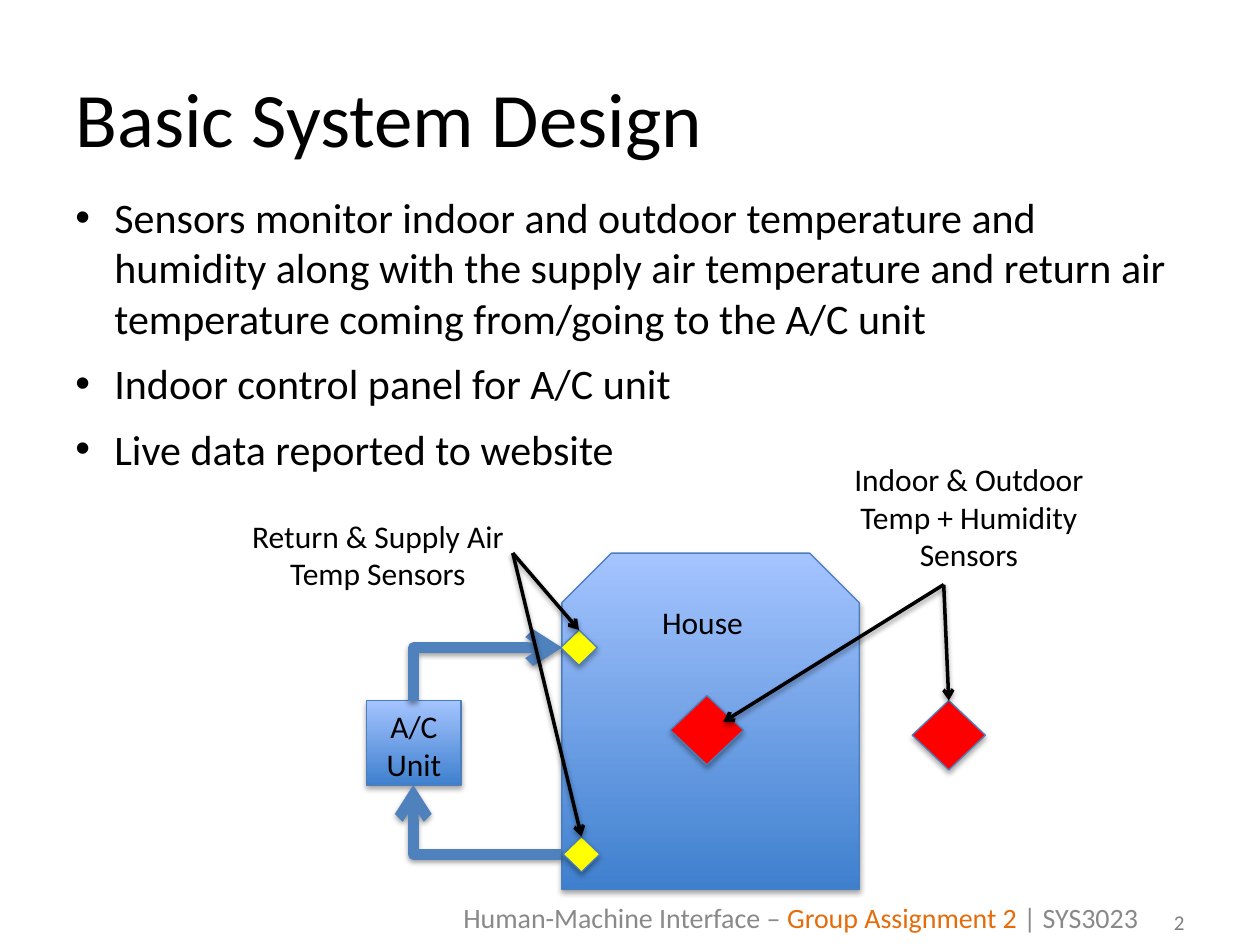
from lxml import etree
from pptx import Presentation
from pptx import util as u
from pptx.dml.color import RGBColor
from pptx.enum import shapes, text
from pptx.oxml import ns

PX = 9144  # EMU per px, 100 px to the inch
BLACK = RGBColor(0, 0, 0)
GRAY = RGBColor(0x89, 0x89, 0x89)
PALE = RGBColor(0x80, 0x80, 0x80)
ORANGE = RGBColor(0xE4, 0x6C, 0x0A)
RED = RGBColor(0xFF, 0, 0)
YELLOW = RGBColor(0xFF, 0xFF, 0)
EDGE = RGBColor(0x4B, 0x7E, 0xBC)
DUCT = RGBColor(0x4F, 0x81, 0xBD)
DEEP = RGBColor(0x3F, 0x80, 0xCE)
LIGHT = RGBColor(0xA4, 0xC4, 0xFF)

KIND = shapes.MSO_SHAPE
LINK = shapes.MSO_CONNECTOR
ALIGN = text.PP_ALIGN
ANCHOR = text.MSO_ANCHOR


def px(*nums):
    return [u.Emu(n * PX) for n in nums]


def sub(node, tag, **attrs):
    return etree.SubElement(node, ns.qn(tag), attrs)


def shade(effects, dist, alpha):
    """Fill an effect list with a soft shadow that falls downward."""
    drop = sub(effects, "a:outerShdw", blurRad="40000", dist=str(dist),
               dir="5400000", rotWithShape="0")
    tone = sub(drop, "a:srgbClr", val="000000")
    sub(tone, "a:alpha", val=str(alpha * 1000))


def write(slide, box, paras, size=18, color=BLACK, align=ALIGN.LEFT,
          anchor=ANCHOR.TOP, bullet=False, gap=1.0):
    """Each paragraph is a string or a list of (string, colour) runs."""
    frame = slide.shapes.add_textbox(*px(*box)).text_frame
    frame.word_wrap = True
    frame.vertical_anchor = anchor
    for i, runs in enumerate(paras):
        para = frame.add_paragraph() if i else frame.paragraphs[0]
        para.alignment = align
        if i:
            para.line_spacing = gap
        if bullet:
            props = para._p.get_or_add_pPr()
            props.set("marL", str(31 * PX))
            props.set("indent", str(-31 * PX))
            sub(props, "a:buFont", typeface="Arial")
            sub(props, "a:buChar", char="•")
        for words, tint in [(runs, color)] if isinstance(runs, str) else runs:
            run = para.add_run()
            run.text = words
            run.font.name = "Calibri"
            run.font.size = u.Pt(size)
            run.font.color.rgb = tint


def block(slide, kind, box, fill=None):
    """A shape with a plain fill, or the blue gradient if none is given."""
    shape = slide.shapes.add_shape(kind, *px(*box))
    if fill is None:
        shape.fill.gradient()
        shape.fill.gradient_angle = 90
        for stop, tint in zip(shape.fill.gradient_stops, (DEEP, LIGHT)):
            stop.color.rgb = tint
    else:
        shape.fill.solid()
        shape.fill.fore_color.rgb = fill
    shape.line.color.rgb = EDGE
    shape.line.width = u.Pt(0.75)
    shape.shadow.inherit = False
    shade(shape._element.spPr.find(ns.qn("a:effectLst")), 23000, 35)
    return shape


def arrow(slide, start, end, kind=LINK.STRAIGHT, color=BLACK, width=2):
    link = slide.shapes.add_connector(kind, *px(*start, *end))
    link.line.color.rgb = color
    link.line.width = u.Pt(width)
    sub(link.line._get_or_add_ln(), "a:tailEnd", type="arrow")
    shade(sub(link._element.spPr, "a:effectLst"), 20000, 38)
    return link


def duct(slide, box, turn, flip=False):
    """A one-bend arrow; box is the frame before it is turned."""
    x, y, w, h = box
    link = arrow(slide, (x, y), (x + w, y + h), LINK.ELBOW, DUCT, 6)
    props = link._element.spPr
    props.find(ns.qn("a:prstGeom")).set("prst", "bentConnector2")
    frame = props.find(ns.qn("a:xfrm"))
    frame.set("rot", str(turn * 60000))
    if flip:
        frame.set("flipH", "1")
        frame.set("flipV", "1")


def main():
    deck = Presentation()
    deck.slide_width, deck.slide_height = px(1000, 750)
    slide = deck.slides.add_slide(deck.slide_layouts[6])

    # Footer, title and page number
    write(slide, (74, 707, 839, 42),
          [[("Human-Machine Interface – ", GRAY),
            ("Group Assignment 2 ", ORANGE), ("| SYS3023", GRAY)]],
          size=16, align=ALIGN.RIGHT, anchor=ANCHOR.MIDDLE)
    write(slide, (50, 30, 900, 125), ["Basic System Design"], size=44,
          anchor=ANCHOR.MIDDLE)
    write(slide, (717, 717, 233, 18), ["2"], size=12, color=PALE,
          align=ALIGN.RIGHT)

    # House, A/C unit and room sensors
    block(slide, KIND.SNIP_2_SAME_RECTANGLE, (446, 439, 236, 267))
    block(slide, KIND.RECTANGLE, (291, 556, 75, 67))
    outdoor = block(slide, KIND.DIAMOND, (724, 556, 58, 55), RED)
    block(slide, KIND.DIAMOND, (532, 552, 58, 55), RED)

    # Air ducts: supply above, return below
    duct(slide, (366, 476, 42, 118), 90, flip=True)
    duct(slide, (328, 623, 117, 55), 180)
    write(slide, (291, 556, 75, 71), ["A/C Unit"], align=ALIGN.CENTER)
    write(slide, (474, 474, 167, 40), ["House"], align=ALIGN.CENTER)

    # Duct sensors
    vents = [block(slide, KIND.DIAMOND, (x, y, 29, 28), YELLOW)
             for x, y in ((445, 500), (447, 664))]

    # Labels and their pointers
    fork = (749, 464)
    arrow(slide, fork, (574, 573))
    arrow(slide, fork, (753, 556)).end_connect(outdoor, 0)
    write(slide, (642, 360, 254, 101),
          ["Indoor & Outdoor Temp + Humidity Sensors"], align=ALIGN.CENTER)
    for vent in vents:
        arrow(slide, (407, 439), (459, 500)).end_connect(vent, 0)
    write(slide, (175, 405, 250, 71), ["Return & Supply Air Temp Sensors"],
          align=ALIGN.CENTER)

    # Bullet list
    write(slide, (50, 147, 900, 234),
          ["Sensors monitor indoor and outdoor temperature and humidity along "
           "with the supply air temperature and return air temperature coming "
           "from/going to the A/C unit",
           "Indoor control panel for A/C unit",
           "Live data reported to website"],
          size=24, bullet=True, gap=1.3)

    deck.save("out.pptx")


if __name__ == "__main__":
    main()
